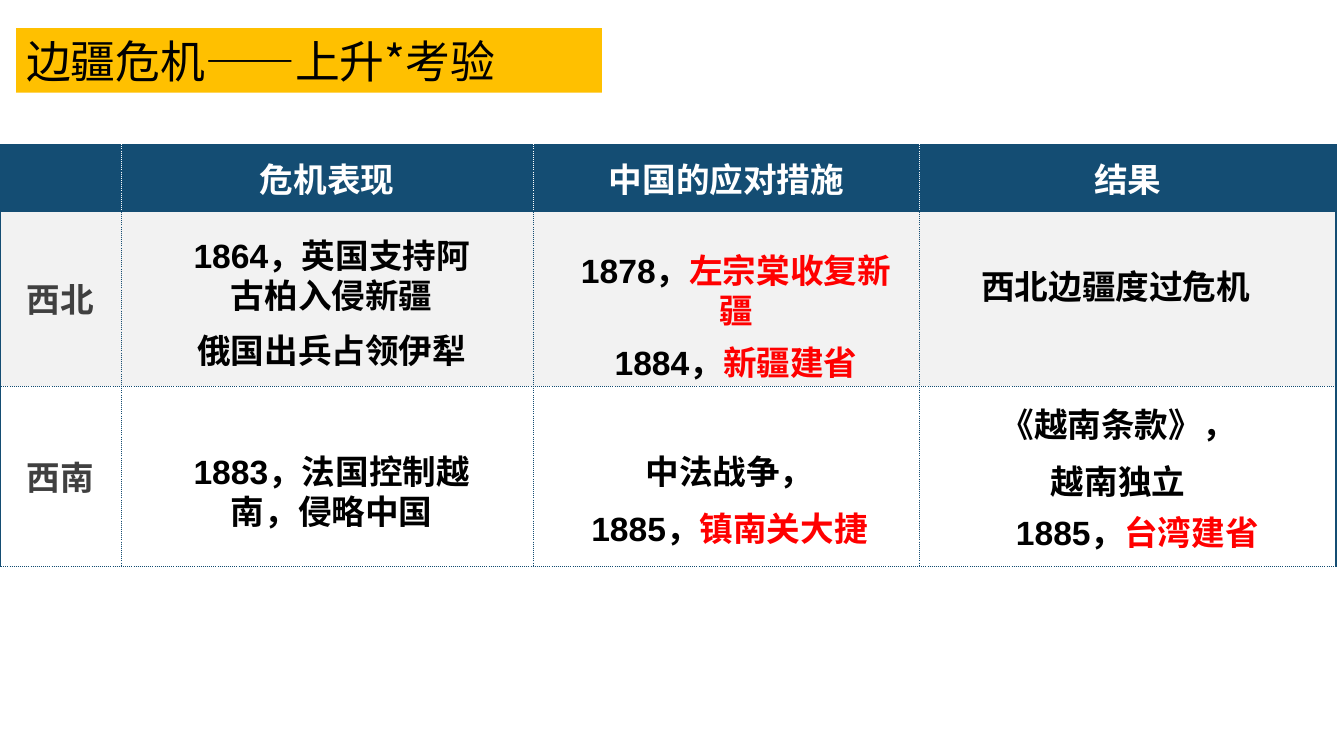
import pptx
import pptx.util
import pptx.dml.color
import pptx.enum.shapes
import pptx.enum.text
import pptx.oxml.ns
import lxml.etree

Inches = pptx.util.Inches
Pt = pptx.util.Pt
ALIGN = pptx.enum.text.PP_ALIGN
MIDDLE = pptx.enum.text.MSO_ANCHOR.MIDDLE
qn = pptx.oxml.ns.qn

HAN, LATIN = "Noto Sans CJK SC", "Arial"
NAVY, WHITE, BLACK, RED = "144D73", "FFFFFF", "000000", "FF0000"
GREY, PALE, GOLD = "404040", "F2F2F2", "FFC000"

COLS = [1.2, 4.09, 3.83, 4.13]
ROWS = [0.65, 1.74, 1.79]
HEADS = ["", "危机表现", "中国的应对措施", "结果"]
SIDES = ["西北", "西南"]

# Notes over the table: left, top, width, height from its corner, then
# paragraphs of (text, font, colour) runs
NOTES = [
    (1.8, 0.84, 2.98, 0.91,
     [[("1864", LATIN, BLACK), ("，英国支持阿古柏入侵新疆", HAN, BLACK)]]),
    (1.8, 1.78, 2.98, 0.5, [[("俄国出兵占领伊犁", HAN, BLACK)]]),
    (5.66, 0.99, 3.28, 0.91,
     [[("1878", LATIN, BLACK), ("，", HAN, BLACK), ("左宗棠收复新疆", HAN, RED)]]),
    (5.66, 1.9, 3.28, 0.5,
     [[("1884", LATIN, BLACK), ("，", HAN, BLACK), ("新疆建省", HAN, RED)]]),
    (9.4, 1.15, 3.33, 0.5, [[("西北边疆度过危机", HAN, BLACK)]]),
    (1.8, 2.98, 2.98, 0.91,
     [[("1883", LATIN, BLACK), ("，法国控制越南，侵略中国", HAN, BLACK)]]),
    (5.66, 2.98, 3.15, 1.11,
     [[("中法战争，", HAN, BLACK)],
      [("1885", LATIN, BLACK), ("，", HAN, BLACK), ("镇南关大捷", HAN, RED)]]),
    (9.34, 2.52, 3.5, 1.11,
     [[("《越南条款》，", HAN, BLACK)], [("越南独立", HAN, BLACK)]]),
    (9.92, 3.59, 2.72, 0.5,
     [[("1885，", LATIN, BLACK), ("台湾", LATIN, RED), ("建省", HAN, RED)]]),
]


def color(code):
    return pptx.dml.color.RGBColor.from_string(code)


def add_run(para, text, face, code, size=24, bold=True):
    run = para.add_run()
    run.text = text
    font = run.font
    font.name, font.size, font.bold = face, Pt(size), bold
    font.color.rgb = color(code)
    # Chinese glyphs take the East Asian face
    east = lxml.etree.Element(qn("a:ea"), typeface=HAN)
    run._r.get_or_add_rPr().find(qn("a:latin")).addnext(east)


def add_edge(cell, side, code, width, dash):
    line = lxml.etree.SubElement(cell._tc.get_or_add_tcPr(), qn("a:ln" + side),
                                 w=str(int(Pt(width))))
    fill = lxml.etree.SubElement(line, qn("a:solidFill"))
    lxml.etree.SubElement(fill, qn("a:srgbClr"), val=code)
    lxml.etree.SubElement(line, qn("a:prstDash"), val=dash)


def edge_style(row, col, side):
    outer = (side == "L" and col == 0) or (side == "R" and col == len(COLS) - 1)
    head = (row == 0 and side in "TB") or (row == 1 and side == "T")
    if outer or head:
        return NAVY, 1.5, "solid"
    return (WHITE if row == 0 else NAVY), 0.25, "sysDot"


def add_title(slide, left, top, width, height):
    bar = slide.shapes.add_shape(pptx.enum.shapes.MSO_SHAPE.RECTANGLE,
                                 Inches(left), Inches(top),
                                 Inches(width), Inches(height))
    bar.shadow.inherit = False
    bar.fill.solid()
    bar.fill.fore_color.rgb = color(GOLD)
    bar.line.fill.background()
    bar.text_frame.word_wrap = True
    para = bar.text_frame.paragraphs[0]
    para.alignment = ALIGN.LEFT
    add_run(para, "边疆危机——上升*考验", HAN, BLACK, 32, False)


def add_grid(slide, left, top):
    grid = slide.shapes.add_table(len(ROWS), len(COLS), Inches(left), Inches(top),
                                  Inches(sum(COLS)), Inches(sum(ROWS))).table
    for col, width in enumerate(COLS):
        grid.columns[col].width = Inches(width)
    for row, height in enumerate(ROWS):
        grid.rows[row].height = Inches(height)
        for col in range(len(COLS)):
            cell = grid.cell(row, col)
            for side in "LRTB":
                add_edge(cell, side, *edge_style(row, col, side))
            cell.fill.solid()
            cell.fill.fore_color.rgb = color([NAVY, PALE, WHITE][row])
            cell.vertical_anchor = MIDDLE
            text = HEADS[col] if row == 0 else SIDES[row - 1] if col == 0 else ""
            if text:
                para = cell.text_frame.paragraphs[0]
                para.alignment = ALIGN.CENTER
                add_run(para, text, HAN, GREY if row else WHITE)


def add_note(slide, left, top, width, height, paras):
    frame = slide.shapes.add_textbox(Inches(left), Inches(top),
                                     Inches(width), Inches(height)).text_frame
    frame.word_wrap = True
    for index, runs in enumerate(paras):
        para = frame.add_paragraph() if index else frame.paragraphs[0]
        para.alignment = ALIGN.CENTER
        if index:
            para.space_before = Pt(12)
        for run in runs:
            add_run(para, *run)


def add_crises(slide, left, top):
    add_grid(slide, left, top)
    for dx, dy, width, height, paras in NOTES:
        add_note(slide, left + dx, top + dy, width, height, paras)


def main():
    deck = pptx.Presentation()
    deck.slide_width, deck.slide_height = Inches(13.33), Inches(7.5)
    slide = deck.slides.add_slide(deck.slide_layouts[6])
    add_crises(slide, 0, 1.44)
    add_title(slide, 0.16, 0.28, 5.81, 0.64)
    deck.save("out.pptx")


if __name__ == "__main__":
    main()
